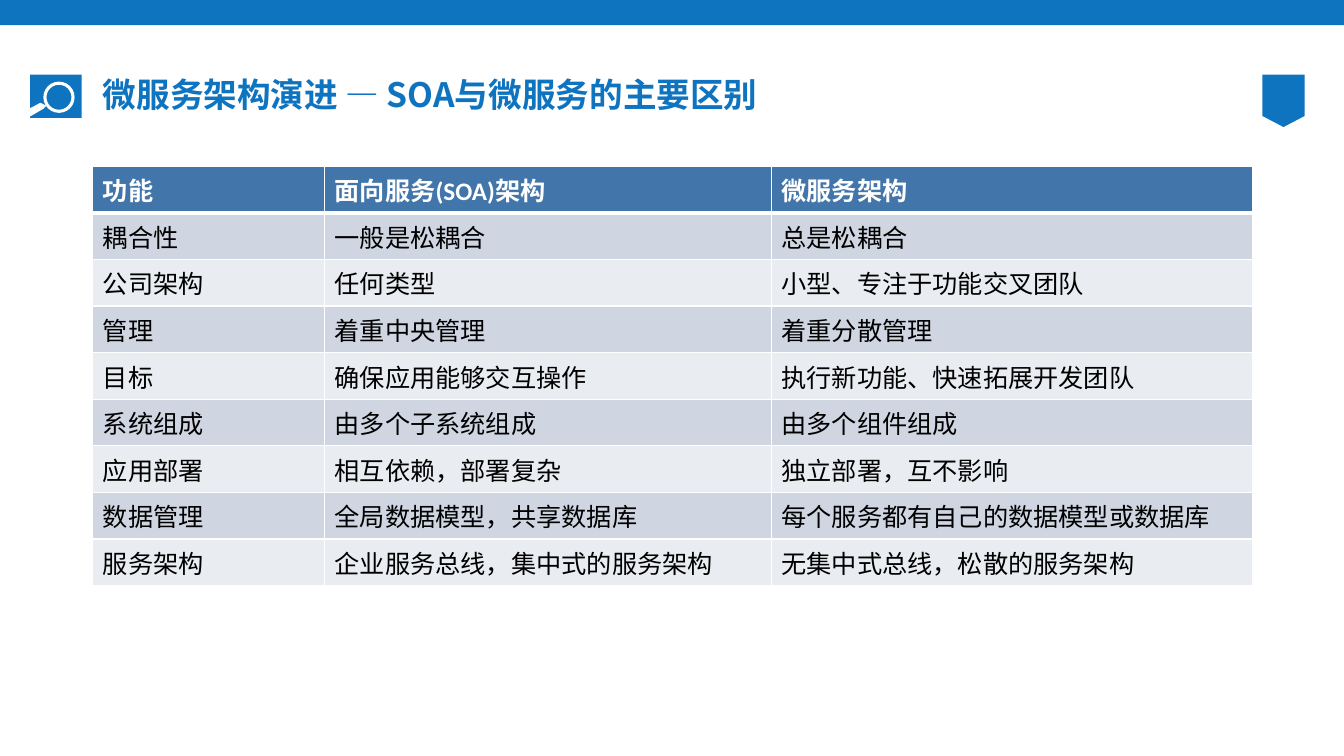
"""Build a slide comparing SOA with microservices in a three-column table."""
import pptx
import pptx.dml.color
import pptx.enum.shapes
import pptx.enum.text
import pptx.oxml.ns
import pptx.util
from lxml import etree
from pptx.util import Inches

BLUE, WHITE, BLACK = "0F74C0", "FFFFFF", "000000"
HEADER, DARK_BAND, LIGHT_BAND = "4276AA", "CFD6E2", "E9ECF1"
CJK_FONT = "Noto Sans CJK SC"
SHAPES = pptx.enum.shapes.MSO_SHAPE
MIDDLE = pptx.enum.text.MSO_ANCHOR.MIDDLE
qn = pptx.oxml.ns.qn


def paint(target, color):
    target.fill.solid()
    target.fill.fore_color.rgb = pptx.dml.color.RGBColor.from_string(color)


def write(para, text, color, values):
    span = para.add_run()
    span.text = text
    for name, value in values.items():
        setattr(span.font, name, value)
    paint(span.font, color)
    etree.SubElement(span.font._element, qn("a:ea"), typeface=CJK_FONT)


deck = pptx.Presentation()
deck.slide_width, deck.slide_height = Inches(13.33), Inches(7.5)
page = deck.slides.add_slide(deck.slide_layouts[5])

presets = [
    (SHAPES.RECTANGLE, (0, 0, 13.33, 0.25), BLUE),
    (SHAPES.RECTANGLE, (0.3, 0.74, 0.51, 0.43), BLUE),
    (SHAPES.DONUT, (0.43, 0.81, 0.31, 0.31), WHITE),
]
outlines = [
    ([(0.4, 1.02), (0.25, 1.1), (0.24, 1.15), (0.29, 1.16), (0.43, 1.08), (0.46, 1.05)], WHITE),
    ([(12.52, 0.74), (12.94, 0.74), (12.94, 1.15), (12.73, 1.26), (12.52, 1.15)], BLUE),
]
decorations = []
for preset, place, color in presets:
    shape = page.shapes.add_shape(preset, *map(Inches, place))
    if preset == SHAPES.DONUT:
        shape.adjustments[0] = 0.1
    decorations.append((shape, color))
for points, color in outlines:
    start, *rest = [(Inches(x), Inches(y)) for x, y in points]
    builder = page.shapes.build_freeform(*start)
    builder.add_line_segments(rest, close=True)
    decorations.append((builder.convert_to_shape(), color))
for shape, color in decorations:
    paint(shape, color)
    shape.line.fill.background()
    shape.shadow.inherit = False

title = page.shapes.title
title_place = {"left": 0.92, "top": 0.74, "width": 11.5, "height": 0.43}
for name, value in title_place.items():
    setattr(title, name, Inches(value))
frame_format = {
    "vertical_anchor": MIDDLE,
    "word_wrap": True,
    "auto_size": pptx.enum.text.MSO_AUTO_SIZE.NONE,
}
for name, value in frame_format.items():
    setattr(title.text_frame, name, value)
para = title.text_frame.paragraphs[0]
para.alignment = pptx.enum.text.PP_ALIGN.LEFT
para.line_spacing = 0.9
title_format = {"name": CJK_FONT, "size": pptx.util.Pt(24), "bold": True}
write(para, "微服务架构演进 — SOA与微服务的主要区别", BLUE, title_format)

rows = [
    ("功能", "面向服务(SOA)架构", "微服务架构"),
    ("耦合性", "一般是松耦合", "总是松耦合"),
    ("公司架构", "任何类型", "小型、专注于功能交叉团队"),
    ("管理", "着重中央管理", "着重分散管理"),
    ("目标", "确保应用能够交互操作", "执行新功能、快速拓展开发团队"),
    ("系统组成", "由多个子系统组成", "由多个组件组成"),
    ("应用部署", "相互依赖，部署复杂", "独立部署，互不影响"),
    ("数据管理", "全局数据模型，共享数据库", "每个服务都有自己的数据模型或数据库"),
    ("服务架构", "企业服务总线，集中式的服务架构", "无集中式总线，松散的服务架构"),
]
widths = [2.3, 4.43, 4.77]
table = page.shapes.add_table(
    len(rows), len(widths), Inches(0.92), Inches(1.65), Inches(sum(widths)), Inches(3.65)
).table
for column, width in zip(table.columns, widths):
    column.width = Inches(width)

for row_index, texts in enumerate(rows):
    is_header = row_index == 0
    band = HEADER if is_header else (LIGHT_BAND, DARK_BAND)[row_index % 2]
    cell_format = {"name": "Calibri", "size": pptx.util.Pt(18), "bold": is_header}
    heavy_side = {0: "lnB", 1: "lnT"}.get(row_index)
    for column_index, text in enumerate(texts):
        cell = table.cell(row_index, column_index)
        cell.vertical_anchor = MIDDLE
        properties = cell._tc.get_or_add_tcPr()
        for side in ("lnL", "lnR", "lnT", "lnB"):
            points = 3 if side == heavy_side else 1
            border = etree.SubElement(properties, qn("a:" + side), w=str(pptx.util.Pt(points)))
            fill = etree.SubElement(border, qn("a:solidFill"))
            etree.SubElement(fill, qn("a:srgbClr"), val=WHITE)
        paint(cell, band)
        write(cell.text_frame.paragraphs[0], text, WHITE if is_header else BLACK, cell_format)

deck.save("out.pptx")
